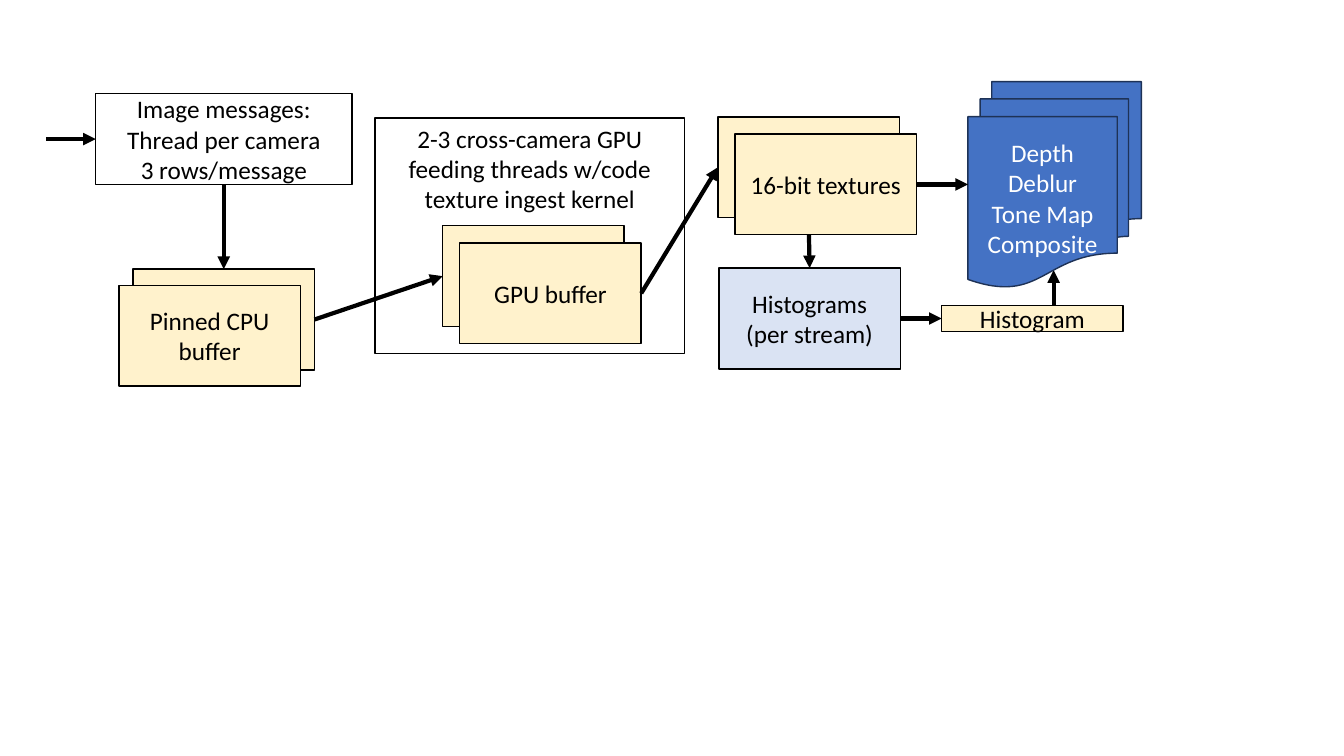
"""Build a slide showing a camera image pipeline from messages to GPU output."""
from dataclasses import dataclass
from typing import NamedTuple

from lxml import etree
from pptx import Presentation
from pptx.dml.color import RGBColor
from pptx.enum.shapes import MSO_CONNECTOR, MSO_SHAPE
from pptx.enum.text import MSO_ANCHOR, PP_ALIGN
from pptx.oxml.ns import qn
from pptx.shapes.autoshape import Shape
from pptx.slide import Slide
from pptx.util import Inches, Pt

RECTANGLE = MSO_SHAPE.RECTANGLE
MULTIDOCUMENT = MSO_SHAPE.FLOWCHART_MULTIDOCUMENT
STRAIGHT = MSO_CONNECTOR.STRAIGHT
MIDDLE, TOP_ANCHOR = MSO_ANCHOR.MIDDLE, MSO_ANCHOR.TOP
CENTER = PP_ALIGN.CENTER
TOP, LEFT, BOTTOM, RIGHT = range(4)
STAGE_WIDTH, STAGE_HEIGHT = 1.8, 1.0
COLORS = {
    "black": "000000",
    "white": "FFFFFF",
    "buffer": "FFF2CC",
    "histograms": "DAE3F3",
    "output": "4472C4",
    "output edge": "1E3256",
}


@dataclass(frozen=True)
class Stage:
    """A box of the pipeline, with sizes in inches."""

    name: str
    left: float
    top: float
    text: str = ""
    width: float = STAGE_WIDTH
    height: float = STAGE_HEIGHT
    fill: str = "buffer"
    edge: str = "black"
    ink: str = "black"
    outline: MSO_SHAPE = RECTANGLE
    anchor: MSO_ANCHOR = MIDDLE


class Point(NamedTuple):
    """A free arrow end, in inches."""

    x: float
    y: float


class Joint(NamedTuple):
    """An arrow end joined to one side of a stage."""

    stage: str
    side: int


@dataclass(frozen=True)
class Flow:
    """An arrow between two stages or points."""

    start: Point | Joint
    end: Point | Joint


PIPELINE: list[Stage | Flow] = [
    Stage("histograms", 7.13, 2.66, "Histograms\n(per stream)", fill="histograms"),
    Stage("feeding threads", 3.72, 1.17,
          "2-3 cross-camera GPU feeding threads w/code texture ingest kernel",
          3.07, 2.34, fill="white", anchor=TOP_ANCHOR),
    Stage("rear GPU buffer", 4.39, 2.24),
    Stage("histogram", 9.34, 3.03, "Histogram", height=0.26),
    Stage("rear CPU buffer", 1.32, 2.67),
    Stage("rear texture", 7.12, 1.16),
    Flow(Joint("histograms", RIGHT), Joint("histogram", LEFT)),
    Flow(Joint("rear texture", BOTTOM), Joint("histograms", TOP)),
    Flow(Joint("rear CPU buffer", RIGHT), Joint("rear GPU buffer", LEFT)),
    Flow(Point(10.45, 3.03), Point(10.45, 2.68)),
    Stage("output", 9.6, 0.81, "Depth\nDeblur\nTone Map\nComposite", 1.72, 2.04,
          "output", "output edge", "white", MULTIDOCUMENT),
    Stage("messages", 0.95, 0.93,
          "Image messages: Thread per camera\n3 rows/message", 2.54, 0.9, "white"),
    Flow(Joint("messages", BOTTOM), Joint("rear CPU buffer", TOP)),
    Flow(Point(0.46, 1.38), Joint("messages", LEFT)),
    Stage("texture", 7.29, 1.33, "16-bit textures"),
    Stage("CPU buffer", 1.18, 2.83, "Pinned CPU buffer"),
    Stage("GPU buffer", 4.56, 2.41, "GPU buffer"),
    Flow(Joint("texture", RIGHT), Joint("output", LEFT)),
    Flow(Joint("GPU buffer", RIGHT), Joint("rear texture", LEFT)),
]


def color(name: str) -> RGBColor:
    """Return the named colour."""
    return RGBColor.from_string(COLORS[name])


def draw_stage(slide: Slide, stage: Stage) -> Shape:
    """Draw one stage with its label."""
    box = slide.shapes.add_shape(
        stage.outline, Inches(stage.left), Inches(stage.top),
        Inches(stage.width), Inches(stage.height))
    box.shadow.inherit = False
    box.fill.solid()
    box.fill.fore_color.rgb = color(stage.fill)
    box.line.color.rgb = color(stage.edge)
    box.line.width = Pt(1)
    if stage.text:
        label = box.text_frame
        label.word_wrap = True
        label.vertical_anchor = stage.anchor
        label.text = stage.text
        for paragraph in label.paragraphs:
            paragraph.alignment = CENTER
            for run in paragraph.runs:
                run.font.name = "Calibri"
                run.font.size = Pt(18)
                run.font.color.rgb = color(stage.ink)
    return box


def position(end: Point | Joint) -> tuple[int, int]:
    """Return where an end is first placed, before any joining."""
    return (Inches(end.x), Inches(end.y)) if isinstance(end, Point) else (0, 0)


def draw_flow(slide: Slide, flow: Flow, boxes: dict[str, Shape]) -> None:
    """Draw one arrow and join it to its stages."""
    arrow = slide.shapes.add_connector(
        STRAIGHT, *position(flow.start), *position(flow.end))
    if isinstance(flow.start, Joint):
        arrow.begin_connect(boxes[flow.start.stage], flow.start.side)
    if isinstance(flow.end, Joint):
        arrow.end_connect(boxes[flow.end.stage], flow.end.side)
    arrow.line.color.rgb = color("black")
    arrow.line.width = Pt(3)
    etree.SubElement(arrow.line._get_or_add_ln(), qn("a:tailEnd"), type="triangle")
    etree.SubElement(arrow._element.spPr, qn("a:effectLst"))


def main() -> None:
    """Draw the pipeline and save the presentation."""
    presentation = Presentation()
    presentation.slide_width = Inches(13.33)
    presentation.slide_height = Inches(7.5)
    slide = presentation.slides.add_slide(presentation.slide_layouts[6])
    boxes: dict[str, Shape] = {}
    for part in PIPELINE:
        if isinstance(part, Stage):
            boxes[part.name] = draw_stage(slide, part)
        else:
            draw_flow(slide, part, boxes)
    presentation.save("out.pptx")


if __name__ == "__main__":
    main()
